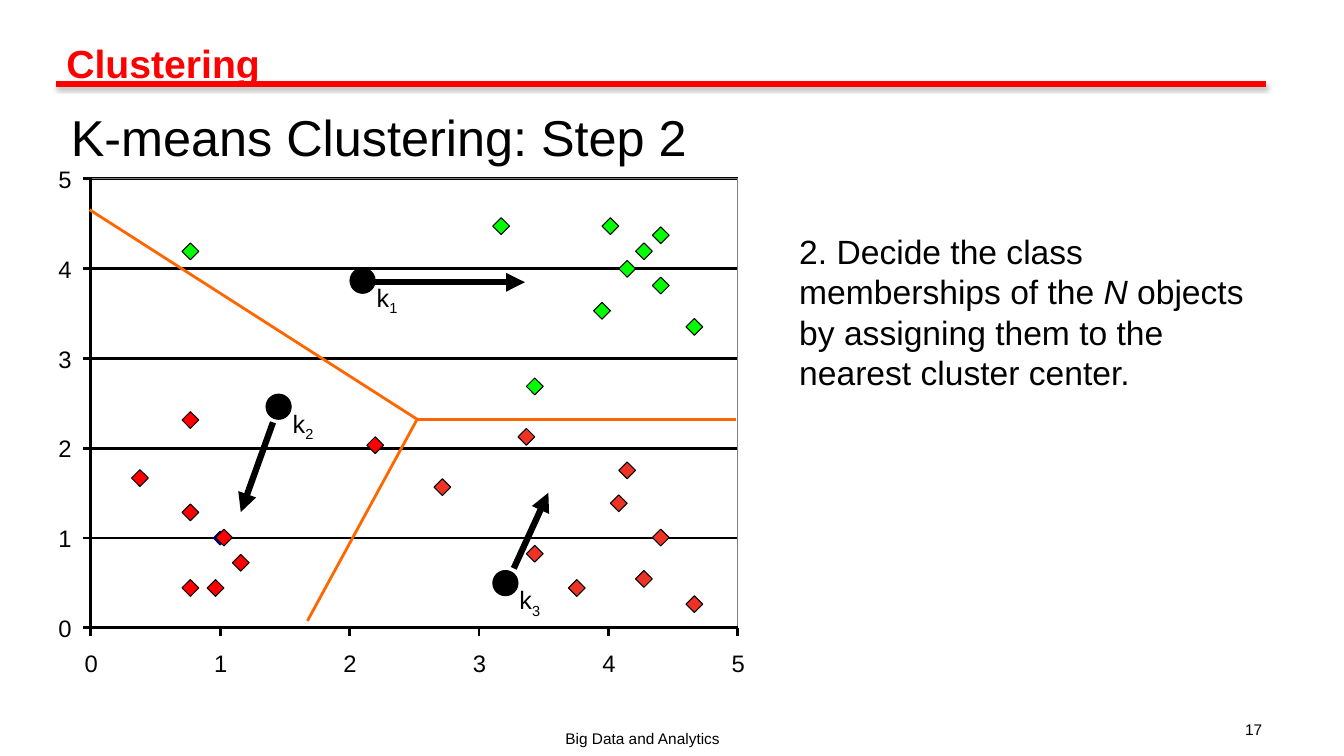
from typing import NamedTuple

from lxml.etree import SubElement
from pptx import Presentation
from pptx.dml.color import RGBColor
from pptx.enum.shapes import MSO_CONNECTOR, MSO_SHAPE
from pptx.enum.text import MSO_ANCHOR as Anchor, PP_ALIGN as Align
from pptx.oxml.ns import qn
from pptx.util import Pt

BLACK, RED, GREEN, SCARLET = "000000", "FF0000", "00FF00", "EE3224"
NAVY, ORANGE, GREY, WHITE = "000080", "FF6600", "808080", "FFFFFF"

PLOT_LEFT, PLOT_TOP, PLOT_WIDTH, PLOT_HEIGHT = 64.8, 127.5, 462.2, 321
PLOT_RIGHT, PLOT_BOTTOM = PLOT_LEFT + PLOT_WIDTH, PLOT_TOP + PLOT_HEIGHT
AXIS_MAX = 5
TICK = 5.5


class Point(NamedTuple):
    x: float
    y: float


class Box(NamedTuple):
    left: float
    top: float
    width: float
    height: float


class Center(NamedTuple):
    number: str
    corner: Point
    arrow_start: Point
    arrow_end: Point


class Cluster(NamedTuple):
    color: str
    corners: list[tuple[float, float]]


CENTERS = [
    Center("1", Point(250, 191.5), Point(255, 201.6), Point(375, 201.6)),
    Center("2", Point(190, 281.5), Point(195, 301.7), Point(172, 365.8)),
    Center("3", Point(352, 407.5), Point(367, 406), Point(391.7, 352)),
]

CLUSTERS = [
    Cluster(RED, [(154, 378), (166, 396), (148, 414), (130, 360), (130, 294),
                  (130, 414), (94, 335.5), (262, 312)]),
    Cluster(GREEN, [(130, 173.5), (430, 155.5), (466, 162), (454, 173.5),
                    (442, 186), (466, 198), (490, 227.5), (352, 155.5),
                    (376, 270), (424, 216)]),
    Cluster(SCARLET, [(376, 389.5), (406, 414), (436, 353.5), (370, 306),
                      (310, 342), (466, 378), (454, 407.5), (442, 330),
                      (490, 425.5)]),
]

BOUNDARY_JUNCTION = Point(298, 299.5)
BOUNDARY_ENDS = [Point(64, 149.8), Point(219.6, 443.5), Point(525.6, 299.5)]


def rgb(color: str) -> RGBColor:
    return RGBColor.from_string(color)


def add_line(shapes, start: Point, end: Point, color: str = BLACK,
             width: float = 0, arrow: bool = False, shadow: bool = False):
    line = shapes.add_connector(MSO_CONNECTOR.STRAIGHT, Pt(start.x), Pt(start.y),
                                Pt(end.x), Pt(end.y))
    line.line.color.rgb = rgb(color)
    line.line.width = Pt(width)
    if arrow:
        SubElement(line.line._get_or_add_ln(), qn("a:tailEnd"), type="triangle")
    effects = SubElement(line._element.spPr, qn("a:effectLst"))
    if shadow:
        cast = SubElement(effects, qn("a:outerShdw"), blurRad=str(Pt(3.1)),
                          dist=str(Pt(1.8)), dir="5400000", rotWithShape="0")
        tone = SubElement(cast, qn("a:srgbClr"), val=BLACK)
        SubElement(tone, qn("a:alpha"), val="35000")


def add_figure(shapes, kind: MSO_SHAPE, box: Box, fill: str | None,
               outline: str | None, width: float = 0.75):
    """Draw a preset shape; None leaves out its fill or its outline."""
    figure = shapes.add_shape(kind, *map(Pt, box))
    figure.shadow.inherit = False
    if fill:
        figure.fill.solid()
        figure.fill.fore_color.rgb = rgb(fill)
    else:
        figure.fill.background()
    if outline:
        figure.line.color.rgb = rgb(outline)
        figure.line.width = Pt(width)
    else:
        figure.line.fill.background()


def add_text(shapes, box: Box, runs: list[str], size: float, color: str = BLACK,
             align: Align = Align.LEFT, anchor: Anchor = Anchor.TOP,
             bold: bool = False, inset: Point = Point(7.2, 3.6)):
    """Add a one-paragraph text box and return its runs."""
    frame = shapes.add_textbox(*map(Pt, box)).text_frame
    frame.word_wrap = True
    frame.vertical_anchor = anchor
    frame.margin_left = frame.margin_right = Pt(inset.x)
    frame.margin_top = frame.margin_bottom = Pt(inset.y)
    paragraph = frame.paragraphs[0]
    paragraph.alignment = align
    font = paragraph.font
    font.name, font.size, font.bold = "Arial", Pt(size), bold
    font.color.rgb = rgb(color)
    for text in runs:
        paragraph.add_run().text = text
    return paragraph.runs


def add_axis_label(shapes, value: int, left: float, top: float):
    add_text(shapes, Box(left, top, 16.6, 22), [str(value)], 17, inset=Point(0, 0))


def add_plot(shapes):
    area = Box(PLOT_LEFT, PLOT_TOP, PLOT_WIDTH, PLOT_HEIGHT)
    xs = [PLOT_LEFT + PLOT_WIDTH * i / AXIS_MAX for i in range(AXIS_MAX + 1)]
    ys = [PLOT_BOTTOM - PLOT_HEIGHT * i / AXIS_MAX for i in range(AXIS_MAX + 1)]

    add_figure(shapes, MSO_SHAPE.RECTANGLE, area, WHITE, None)
    for y in ys[1:]:
        add_line(shapes, Point(PLOT_LEFT, y), Point(PLOT_RIGHT, y))
    add_figure(shapes, MSO_SHAPE.RECTANGLE, area, None, GREY, 0.63)

    origin = Point(PLOT_LEFT, PLOT_BOTTOM)
    add_line(shapes, Point(PLOT_LEFT, PLOT_TOP), origin)
    add_line(shapes, origin, Point(PLOT_RIGHT, PLOT_BOTTOM))
    for value, (x, y) in enumerate(zip(xs, ys)):
        add_line(shapes, Point(PLOT_LEFT - TICK, y), Point(PLOT_LEFT, y))
        add_line(shapes, Point(x, PLOT_BOTTOM + TICK), Point(x, PLOT_BOTTOM))
        add_axis_label(shapes, value, 41.8, y - 10)
        add_axis_label(shapes, value, x - 4.3, 463.7)
    add_figure(shapes, MSO_SHAPE.DIAMOND, Box(xs[1] - 5, ys[1] - 5, 10, 10),
               NAVY, NAVY, 0.63)


def add_center(shapes, center: Center):
    group = shapes.add_group_shape().shapes
    x, y = center.corner
    add_figure(group, MSO_SHAPE.OVAL, Box(x, y, 18, 18), BLACK, BLACK)
    _, subscript = add_text(group, Box(x + 12, y + 6.5, 42, 36),
                            ["k", center.number], 18)
    subscript.font._element.set("baseline", "-25000")


def main():
    deck = Presentation()
    deck.slide_width, deck.slide_height = Pt(960), Pt(540)
    shapes = deck.slides.add_slide(deck.slide_layouts[6]).shapes

    add_line(shapes, Point(40.3, 60), Point(904.3, 60), RED, 4, shadow=True)
    add_text(shapes, Box(40.3, 21.6, 864, 51.8), ["Clustering"], 28, RED,
             bold=True, inset=Point(7.2, 6.5))
    add_text(shapes, Box(257.8, 517, 402.5, 17.3), ["Big Data and Analytics"], 11,
             align=Align.CENTER)
    add_text(shapes, Box(684.7, 511.2, 224, 17.3), ["17"], 11, align=Align.RIGHT)
    add_text(shapes, Box(-35.3, 76.3, 612, 41.8), ["K-means Clustering: Step 2"],
             36, align=Align.CENTER, anchor=Anchor.MIDDLE)

    add_plot(shapes)
    for center in CENTERS:
        add_center(shapes, center)
    for cluster in CLUSTERS:
        for left, top in cluster.corners:
            add_figure(shapes, MSO_SHAPE.DIAMOND, Box(left, top, 12, 12),
                       cluster.color, BLACK)
    for center in CENTERS:
        add_line(shapes, center.arrow_start, center.arrow_end, width=4.5, arrow=True)
    for end in BOUNDARY_ENDS:
        add_line(shapes, BOUNDARY_JUNCTION, end, ORANGE, 2)

    step = ["2. Decide the class memberships of the ", "N",
            " objects by assigning them to the nearest cluster center."]
    _, object_count, _ = add_text(shapes, Box(563.8, 161.3, 332.6, 152.6), step, 24)
    object_count.font.italic = True

    deck.save("out.pptx")


if __name__ == "__main__":
    main()
